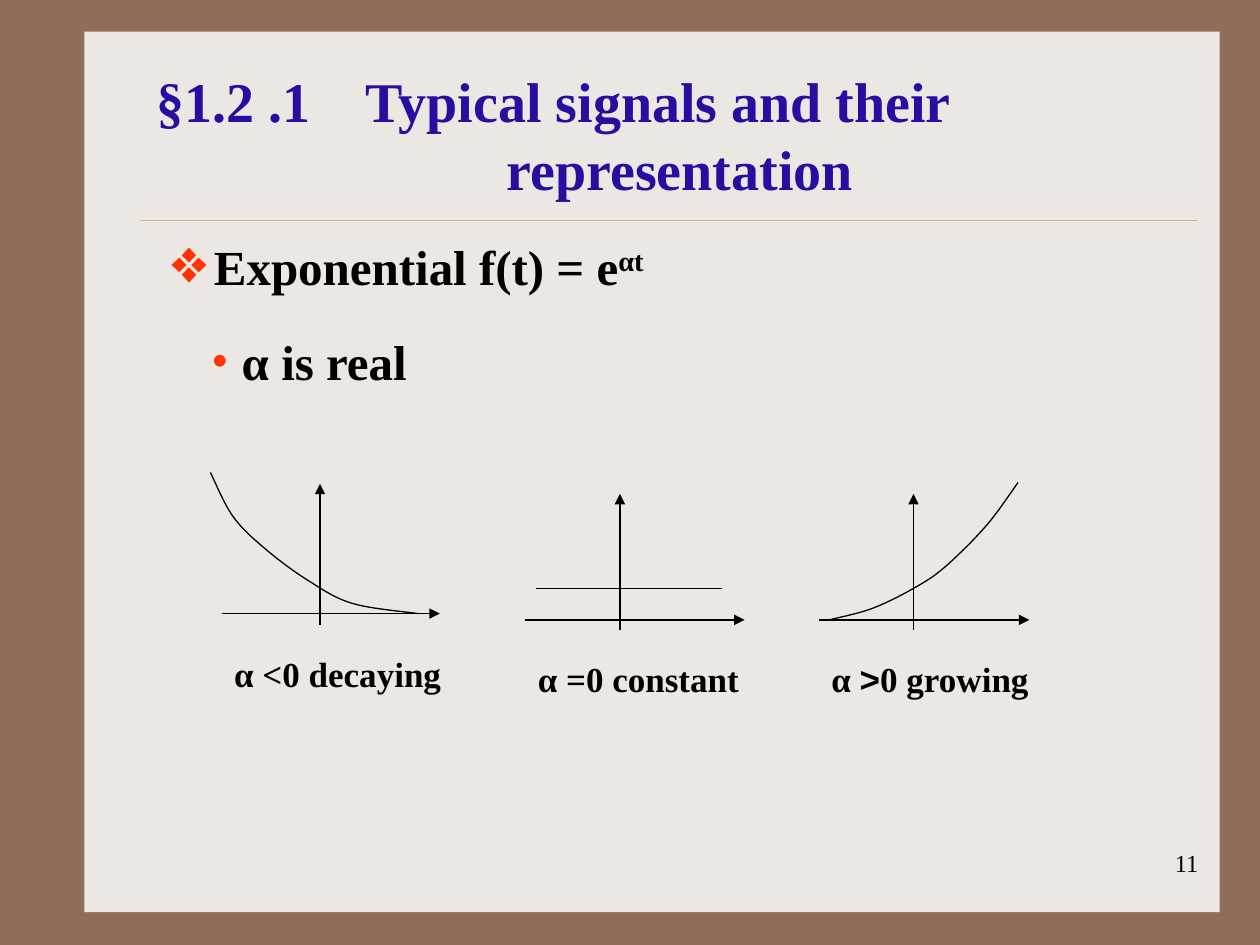
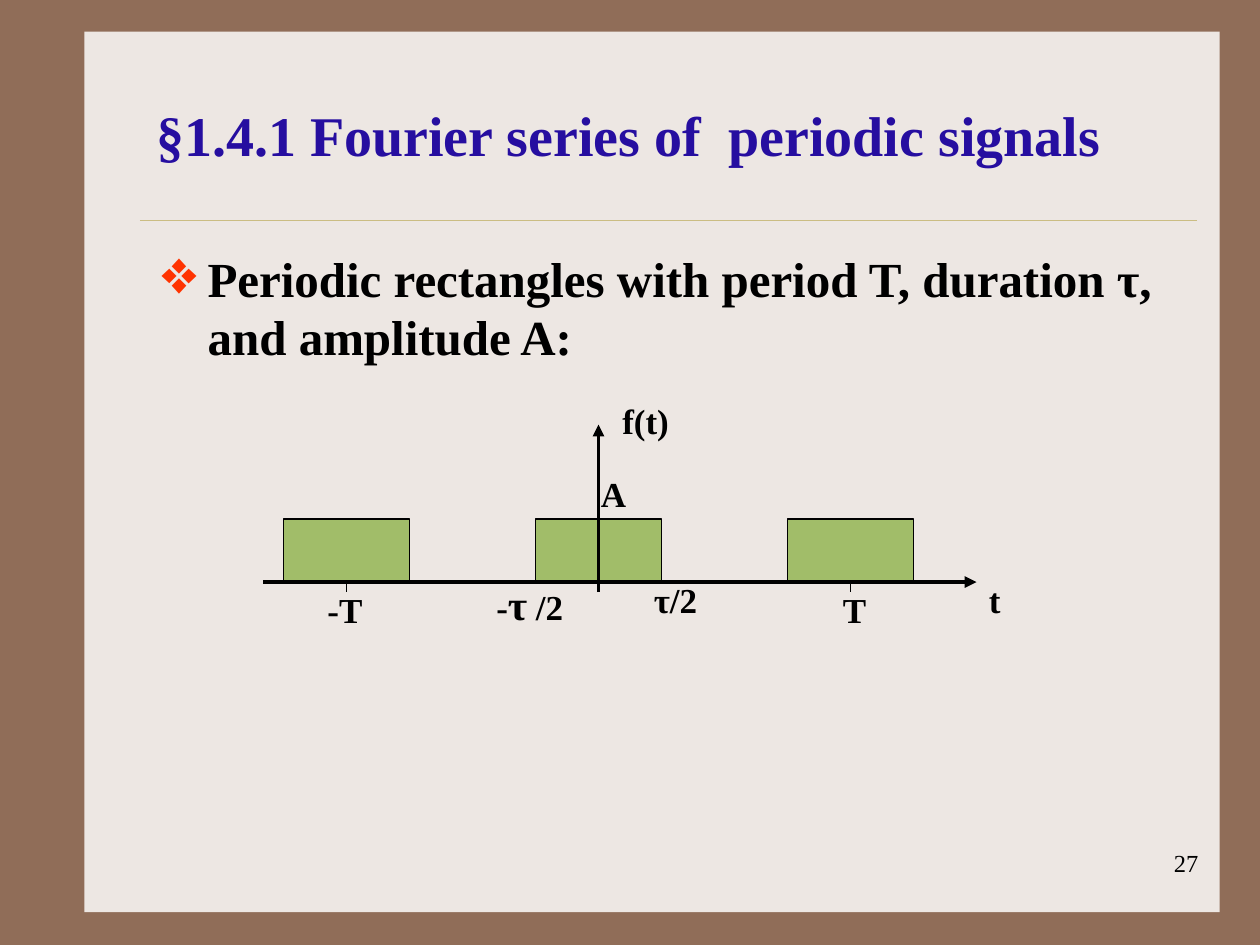
"""Build two lecture slides on exponential signals and periodic rectangles."""
from lxml import etree
from pptx import Presentation
from pptx.dml.color import RGBColor
from pptx.enum import shapes, text
from pptx.oxml import ns
from pptx.util import Inches, Pt

COLORS = {
    "frame": "906D58", "panel": "EDE7E3", "rule": "CBBD83", "title": "260EA0",
    "ink": "000000", "bullet": "FF3300", "pulse": "A1BD69",
}
FONT = "Times New Roman"


def color(name):
    """Return the palette colour called name."""
    return RGBColor.from_string(COLORS[name])


def add_xml(parent, tag, **attributes):
    """Append a DrawingML element to parent and return it."""
    return etree.SubElement(parent, ns.qn(tag), attributes)


def smooth_points(knots, steps=12):
    """Return points of a Catmull-Rom curve through the knots."""
    ends = [knots[0], *knots, knots[-1]]
    points = [knots[0]]
    for before, start, end, after in zip(ends, ends[1:], ends[2:], ends[3:]):
        for step in range(1, steps + 1):
            t = step / steps
            points.append(tuple(
                (2 * b + (c - a) * t + (2 * a - 5 * b + 4 * c - d) * t ** 2
                 + (3 * b - a - 3 * c + d) * t ** 3) / 2
                for a, b, c, d in zip(before, start, end, after)))
    return points


class Deck:
    """Holds the presentation, its style and the current slide."""

    def __init__(self):
        """Set the slide size and the shared background."""
        self.presentation = Presentation()
        self.presentation.slide_width = Inches(10)
        self.presentation.slide_height = Inches(7.5)
        fill = self.presentation.slide_master.background.fill
        fill.solid()
        fill.fore_color.rgb = color("frame")
        self.slide = None

    def new_slide(self, title_runs, number, tabs=()):
        """Start a slide with panel, rule, page number and title."""
        layout = self.presentation.slide_layouts.get_by_name("Title Only")
        self.slide = self.presentation.slides.add_slide(layout)
        self.rectangle(0.67, 0.25, 9.01, 6.99, "panel")
        self.line((1.11, 1.75), (9.5, 1.75), "rule", 0.25)
        self.label(7.53, 6.68, 2.08, [number], size=14, bold=False,
                   align=text.PP_ALIGN.RIGHT)
        title = self.slide.shapes.title
        self.slide.shapes._spTree.append(title._element)
        title.left, title.top = Inches(1.14), Inches(0.44)
        title.width, title.height = Inches(8.33), Inches(1.25)
        title.text_frame.auto_size = text.MSO_AUTO_SIZE.NONE
        title.text_frame.vertical_anchor = text.MSO_ANCHOR.MIDDLE
        paragraph = title.text_frame.paragraphs[0]
        paragraph.alignment = text.PP_ALIGN.LEFT
        if tabs:
            tab_list = add_xml(paragraph._p.get_or_add_pPr(), "a:tabLst")
            for stop in tabs:
                add_xml(tab_list, "a:tab", pos=str(Inches(stop)), algn="l")
        self.add_runs(paragraph, title_runs, 32, "title")

    def add_runs(self, paragraph, runs, size, ink="ink", bold=True):
        """Add runs, each a string or a string with its own style."""
        for item in runs:
            if item == "\n":
                paragraph.add_line_break()
                continue
            words, style = (item, {}) if isinstance(item, str) else item
            run = paragraph.add_run()
            run.text = words
            run.font.name = style.get("font", FONT)
            run.font.size = Pt(style.get("size", size))
            run.font.bold = bold
            run.font.color.rgb = color(ink)
            if "baseline" in style:
                run.font._element.set("baseline", str(style["baseline"] * 1000))

    def label(self, left, top, width, runs, size=20, bold=True, height=0.44,
              align=text.PP_ALIGN.LEFT):
        """Add a text box and return its paragraph."""
        box = self.slide.shapes.add_textbox(
            Inches(left), Inches(top), Inches(width), Inches(height))
        box.text_frame.word_wrap = True
        paragraph = box.text_frame.paragraphs[0]
        paragraph.alignment = align
        self.add_runs(paragraph, runs, size, bold=bold)
        return paragraph

    def bullet(self, left, top, width, runs, mark, indent, height=0.57):
        """Add a bulleted text box with a hanging indent."""
        paragraph = self.label(left, top, width, runs, 28, height=height)
        properties = paragraph._p.get_or_add_pPr()
        properties.set("marL", str(Inches(indent)))
        properties.set("indent", str(-Inches(indent)))
        tint = add_xml(properties, "a:buClr")
        add_xml(tint, "a:srgbClr", val=COLORS["bullet"])
        add_xml(properties, "a:buFont", typeface=FONT)
        add_xml(properties, "a:buChar", char=mark)

    def rectangle(self, left, top, width, height, fill, outline=None):
        """Add a filled rectangle, outlined if a colour is given."""
        shape = self.slide.shapes.add_shape(
            shapes.MSO_SHAPE.RECTANGLE,
            Inches(left), Inches(top), Inches(width), Inches(height))
        shape.shadow.inherit = False
        shape.fill.solid()
        shape.fill.fore_color.rgb = color(fill)
        if outline:
            shape.line.color.rgb = color(outline)
            shape.line.width = Pt(0.75)
        else:
            shape.line.fill.background()

    def line(self, start, end, ink="ink", width=0.75, arrow=False):
        """Add a straight line, with an arrowhead at its end if asked."""
        connector = self.slide.shapes.add_connector(
            shapes.MSO_CONNECTOR.STRAIGHT, *map(Inches, (*start, *end)))
        connector.line.color.rgb = color(ink)
        connector.line.width = Pt(width)
        if arrow:
            add_xml(connector.line._get_or_add_ln(), "a:tailEnd", type="triangle")
        add_xml(connector._element.spPr, "a:effectLst")

    def curve(self, knots):
        """Add a smooth open curve through the knots."""
        points = [(Inches(x), Inches(y)) for x, y in smooth_points(knots)]
        builder = self.slide.shapes.build_freeform(*points[0])
        builder.add_line_segments(points[1:], close=False)
        shape = builder.convert_to_shape()
        shape.shadow.inherit = False
        shape.fill.background()
        shape.line.color.rgb = color("ink")
        shape.line.width = Pt(0.75)

    def axes(self, left, right, base, center, bottom, top, width=0.75):
        """Add a horizontal and a vertical axis with arrowheads."""
        self.line((left, base), (right, base), width=width, arrow=True)
        self.line((center, bottom), (center, top), width=width, arrow=True)


def exponential_slide(deck):
    """Show the three cases of a real exponential."""
    deck.new_slide(["§1.2 .1\tTypical signals and their", "\n",
                    "\t\trepresentation"], "11", tabs=(1.66, 2.78))
    deck.bullet(1.25, 1.83, 8.17,
                ["Exponential f(t) = e", ("αt", {"baseline": 30})], "❖", 0.35)
    deck.bullet(1.58, 2.58, 6.42, ["α is real"], "•", 0.24)

    deck.axes(1.76, 3.49, 4.87, 2.54, 4.96, 3.84)
    deck.curve([(1.67, 3.75), (1.85, 4.1), (2.11, 4.36), (2.45, 4.61),
                (2.8, 4.79), (3.32, 4.87)])
    deck.label(1.76, 5.13, 1.99, ["α <0 decaying"])

    deck.axes(4.17, 5.91, 4.92, 4.92, 5, 3.92)
    deck.line((4.25, 4.67), (5.73, 4.67))
    deck.label(4.17, 5.17, 2, ["α =0 constant"])

    deck.axes(6.5, 8.17, 4.92, 7.25, 5, 3.92)
    deck.curve([(6.58, 4.92), (6.92, 4.83), (7.25, 4.67), (7.5, 4.5),
                (7.83, 4.17), (8.08, 3.83)])
    deck.label(6.5, 5.17, 1.92, ["α ", (">", {"font": "Arial"}), "0 growing"])


def periodic_slide(deck):
    """Show a train of rectangles around the origin."""
    deck.new_slide(["§1.4.1 Fourier series of\tperiodic signals"], "27",
                   tabs=(4.54,))
    deck.bullet(1.17, 1.92, 8.33, ["Periodic rectangles with period T, "
                                   "duration τ, and amplitude A:"],
                "❖", 0.38, height=1.17)
    origin, period, duration, base = 4.75, 2, 1, 4.62
    for center in (origin - period, origin + period):
        deck.line((center, 4.45), (center, 4.7))
    for center in (origin - period, origin, origin + period):
        deck.rectangle(center - duration / 2, base - 0.5, duration, 0.5,
                       "pulse", "ink")
    deck.axes(2.09, 7.75, base, origin, 4.7, 3.37, width=2.25)
    for left, top, width, runs in (
            (2.5, 4.62, 0.67, ["-T"]),
            (6.59, 4.62, 0.75, ["T"]),
            (4.67, 3.7, 0.5, ["A"]),
            (3.84, 4.54, 1.01, ["-", ("τ", {"size": 24}), " /2"]),
            (5.09, 4.54, 0.92, ["τ/2"]),
            (4.84, 3.12, 1.08, ["f(t)"]),
            (7.75, 4.54, 0.83, ["t"])):
        deck.label(left, top, width, runs)


def main():
    """Build and save the slides."""
    deck = Deck()
    exponential_slide(deck)
    periodic_slide(deck)
    deck.presentation.save("out.pptx")


if __name__ == "__main__":
    main()
